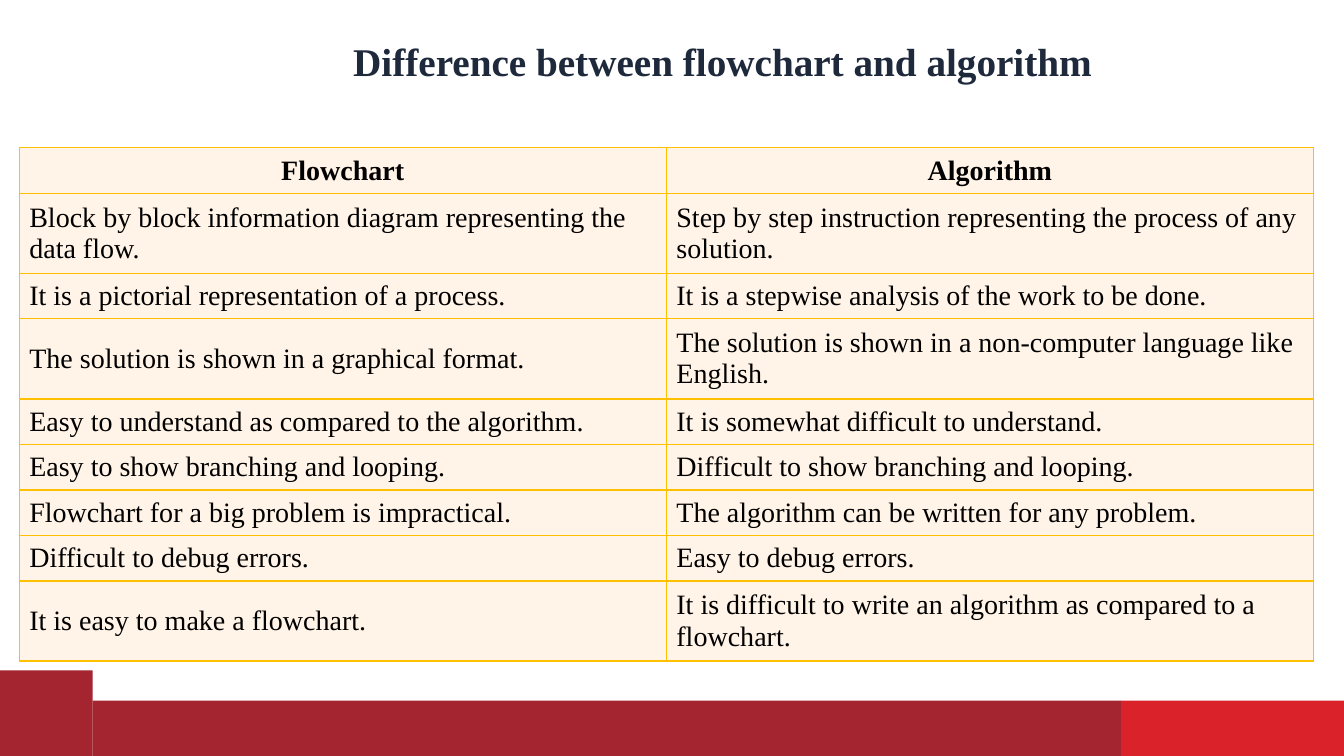
"""Builds a slide that compares flowcharts with algorithms in a table."""
from lxml.etree import SubElement
from pptx import Presentation
from pptx.dml.color import RGBColor
from pptx.enum.shapes import MSO_SHAPE
from pptx.enum.text import MSO_ANCHOR, MSO_AUTO_SIZE, PP_ALIGN
from pptx.oxml.ns import qn
from pptx.util import Inches, Pt

COLORS = {
    "crimson": "A42530",
    "red": "D9222A",
    "cream": "FFF4E7",
    "gold": "FFC000",
    "navy": "1E293B",
    "black": "000000",
}
COMPARISON = [
    ("Flowchart", "Algorithm"),
    ("Block by block information diagram representing the data flow.",
     "Step by step instruction representing the process of any solution."),
    ("It is a pictorial representation of a process.",
     "It is a stepwise analysis of the work to be done."),
    ("The solution is shown in a graphical format.",
     "The solution is shown in a non-computer language like English."),
    ("Easy to understand as compared to the algorithm.",
     "It is somewhat difficult to understand."),
    ("Easy to show branching and looping.",
     "Difficult to show branching and looping."),
    ("Flowchart for a big problem is impractical.",
     "The algorithm can be written for any problem."),
    ("Difficult to debug errors.", "Easy to debug errors."),
    ("It is easy to make a flowchart.",
     "It is difficult to write an algorithm as compared to a flowchart."),
]
TALL_ROWS = {1, 3, 8}
ROW_SHARE, TALL_ROW_SHARE = 6.02, 10.6


class SlideBuilder:
    font_name = "Times New Roman"

    def __init__(self, presentation):
        self.width = presentation.slide_width
        self.height = presentation.slide_height
        self.slide = presentation.slides.add_slide(presentation.slide_layouts[5])

    def across(self, percent):
        return round(self.width * percent / 100)

    def down(self, percent):
        return round(self.height * percent / 100)

    def box(self, left, top, width, height):
        return self.across(left), self.down(top), self.across(width), self.down(height)

    def color(self, name):
        return RGBColor.from_string(COLORS[name])

    def format_text(self, paragraph, size, color, bold, alignment):
        paragraph.alignment = alignment
        for run in paragraph.runs:
            run.font.name = self.font_name
            run.font.size = Pt(size)
            run.font.bold = bold
            run.font.color.rgb = self.color(color)

    def bar(self, color, *shares):
        shape = self.slide.shapes.add_shape(MSO_SHAPE.RECTANGLE, *self.box(*shares))
        shape.shadow.inherit = False
        shape.fill.solid()
        shape.fill.fore_color.rgb = self.color(color)
        shape.line.fill.background()

    def title(self, text, *shares):
        title = self.slide.shapes.title
        title.left, title.top, title.width, title.height = self.box(*shares)
        frame = title.text_frame
        frame.text = text
        frame.word_wrap = True
        frame.auto_size = MSO_AUTO_SIZE.SHAPE_TO_FIT_TEXT
        frame.vertical_anchor = MSO_ANCHOR.BOTTOM
        frame.margin_left = frame.margin_right = frame.margin_bottom = 0
        frame.margin_top = Inches(0.01)
        paragraph = frame.paragraphs[0]
        paragraph.space_after = Pt(12)
        self.format_text(paragraph, 28, "navy", True, PP_ALIGN.CENTER)

    def border(self, cell, color):
        properties = cell._tc.get_or_add_tcPr()
        for side in ("a:lnL", "a:lnR", "a:lnT", "a:lnB"):
            line = SubElement(properties, qn(side), w=str(Pt(1)))
            fill = SubElement(line, qn("a:solidFill"))
            SubElement(fill, qn("a:srgbClr"), val=COLORS[color])

    def cell(self, cell, text, is_header):
        self.border(cell, "gold")
        cell.fill.solid()
        cell.fill.fore_color.rgb = self.color("cream")
        cell.vertical_anchor = MSO_ANCHOR.MIDDLE
        cell.text_frame.text = text
        alignment = PP_ALIGN.CENTER if is_header else PP_ALIGN.LEFT
        self.format_text(cell.text_frame.paragraphs[0], 20, "black", is_header, alignment)

    def table(self, rows, left, top, width):
        heights = [TALL_ROW_SHARE if index in TALL_ROWS else ROW_SHARE
                   for index in range(len(rows))]
        frame = self.slide.shapes.add_table(
            len(rows), len(rows[0]), *self.box(left, top, width, sum(heights)))
        table = frame.table
        for row_index, texts in enumerate(rows):
            table.rows[row_index].height = self.down(heights[row_index])
            for column_index, text in enumerate(texts):
                self.cell(table.cell(row_index, column_index), text, row_index == 0)


def main():
    presentation = Presentation()
    presentation.slide_width = Inches(13.33)
    presentation.slide_height = Inches(7.5)
    builder = SlideBuilder(presentation)
    builder.bar("crimson", 0, 88.67, 6.9, 11.33)
    builder.bar("red", 83.42, 92.67, 16.58, 7.33)
    builder.bar("crimson", 6.9, 92.67, 76.52, 7.33)
    builder.table(COMPARISON, 1.43, 19.55, 96.3)
    builder.title("Difference between flowchart and algorithm", 23.26, 2.53, 61, 8.67)
    presentation.save("out.pptx")


if __name__ == "__main__":
    main()
